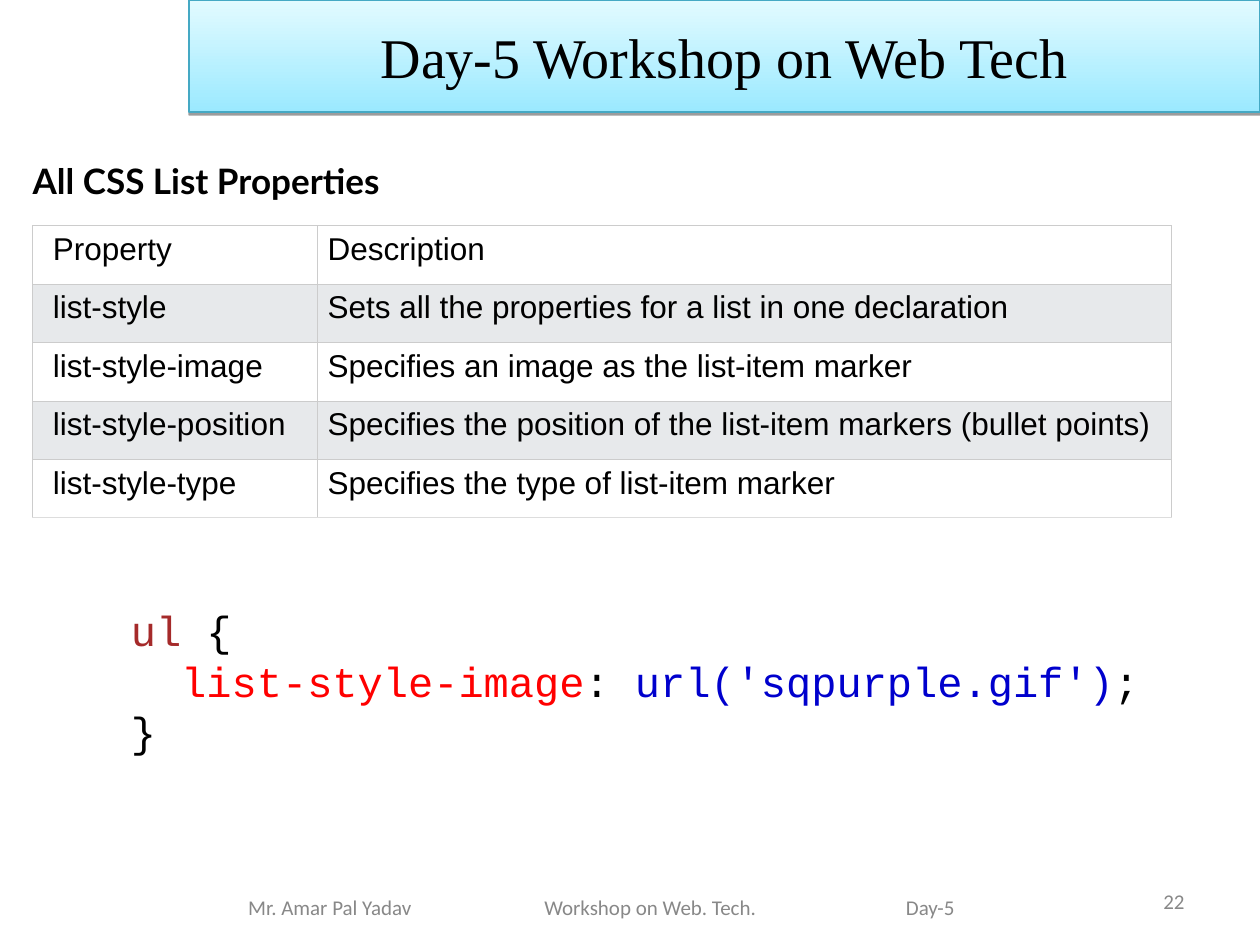
from pptx import Presentation
from pptx.dml.color import RGBColor
from pptx.enum.text import MSO_ANCHOR, MSO_AUTO_SIZE, PP_ALIGN
from pptx.oxml import parse_xml
from pptx.oxml.ns import nsdecls
from pptx.util import Inches, Pt

ROWS = [
    ("Property", "Description"),
    ("list-style", "Sets all the properties for a list in one declaration"),
    ("list-style-image", "Specifies an image as the list-item marker"),
    ("list-style-position",
     "Specifies the position of the list-item markers (bullet points)"),
    ("list-style-type", "Specifies the type of list-item marker"),
]
CODE = [
    [("ul ", "A52A2A"), ("{", "000000")],
    [("  list-style-image", "FF0000"), (":", "000000"),
     (" url('sqpurple.gif')", "0000CD"), (";", "000000")],
    [("}", "000000")],
]


def paint(color):
    """Turn a hex string into a colour."""
    return RGBColor.from_string(color)


def style(run, face, size, color, bold=False):
    """Set the font of one run."""
    font = run.font
    font.name, font.size, font.bold = face, Pt(size), bold
    font.color.rgb = paint(color)


def add_box(slide, box, anchor=MSO_ANCHOR.MIDDLE):
    """Add a wrapping text box."""
    shape = slide.shapes.add_textbox(*map(Inches, box))
    frame = shape.text_frame
    frame.word_wrap = True
    frame.vertical_anchor = anchor
    return shape


def add_title(slide, box, text):
    """Format the title as a gradient banner with a hard shadow."""
    title = slide.shapes.title
    title.left, title.top, title.width, title.height = map(Inches, box)
    frame = title.text_frame
    frame.text = text
    frame.auto_size = MSO_AUTO_SIZE.NONE
    frame.vertical_anchor = MSO_ANCHOR.MIDDLE
    frame.paragraphs[0].alignment = PP_ALIGN.CENTER
    style(frame.paragraphs[0].runs[0], "Times New Roman", 32, "000000")
    title.fill.gradient()
    title.fill.gradient_angle = 90
    for stop, color in zip(title.fill.gradient_stops, ("9BE9FF", "E2FBFF")):
        stop.color.rgb = paint(color)
        stop.position = 0 if color == "9BE9FF" else 1
    title.line.color.rgb = paint("45A9C4")
    title.line.width = Pt(0.75)
    title.element.spPr.append(parse_xml(
        f'<a:effectLst {nsdecls("a")}><a:outerShdw blurRad="0" '
        f'dist="{Pt(1.6)}" dir="5400000" rotWithShape="0">'
        '<a:srgbClr val="000000"><a:alpha val="38000"/></a:srgbClr>'
        '</a:outerShdw></a:effectLst>'))


def add_heading(slide, box, text):
    """Add the bold heading above the table."""
    shape = add_box(slide, box)
    shape.fill.solid()
    shape.fill.fore_color.rgb = paint("FFFFFF")
    frame = shape.text_frame
    frame.margin_left = frame.margin_right = 0
    frame.margin_top = frame.margin_bottom = Inches(0.1)
    frame.text = text
    style(frame.paragraphs[0].runs[0], "Lato", 20, "000000", True)


def add_edges(cell, last):
    """Draw thin grey borders, with a lighter one under the last row."""
    for spot, side in enumerate(("lnL", "lnR", "lnT", "lnB")):
        color = "DDDDDD" if last and side == "lnB" else "CCCCCC"
        cell._tc.get_or_add_tcPr().insert(spot, parse_xml(
            f'<a:{side} {nsdecls("a")} w="{Pt(0.34)}"><a:solidFill>'
            f'<a:srgbClr val="{color}"/></a:solidFill></a:{side}>'))


def add_grid(slide, box, rows, widths):
    """Add the property table with alternating row fills."""
    shape = slide.shapes.add_table(len(rows), len(widths), *map(Inches, box))
    table = shape.table
    table.first_row = table.horz_banding = False
    for column, width in zip(table.columns, widths):
        column.width = Inches(width)
    for i, row in enumerate(rows):
        for j, text in enumerate(row):
            cell = table.cell(i, j)
            cell.text = text
            cell.margin_left = Inches(0.08 if j else 0.16)
            cell.margin_right = Inches(0.08)
            cell.margin_top = cell.margin_bottom = Inches(0.05)
            cell.fill.solid()
            cell.fill.fore_color.rgb = paint("E7E9EB" if i % 2 else "FFFFFF")
            style(cell.text_frame.paragraphs[0].runs[0], "Arial", 18, "000000")
            add_edges(cell, i == len(rows) - 1)


def add_code(slide, box, lines):
    """Add the coloured code sample, one paragraph a line."""
    frame = add_box(slide, box, MSO_ANCHOR.TOP).text_frame
    for i, line in enumerate(lines):
        para = frame.add_paragraph() if i else frame.paragraphs[0]
        for text, color in line:
            run = para.add_run()
            run.text = text
            style(run, "Courier New", 24, color)


def add_footer(slide, box, parts, stops):
    """Add the footer, its parts set apart by tab stops."""
    frame = add_box(slide, box).text_frame
    frame.margin_left = Inches(0.57)
    para = frame.paragraphs[0]
    tabs = "".join(f'<a:tab pos="{Inches(x)}" algn="l"/>' for x in stops)
    para._p.get_or_add_pPr().append(parse_xml(
        f'<a:tabLst {nsdecls("a")}>{tabs}</a:tabLst>'))
    run = para.add_run()
    run.text = "\t".join(parts)
    style(run, "Calibri", 12, "888888")


def add_number(slide, box, text):
    """Add the page number at the right."""
    frame = add_box(slide, box).text_frame
    frame.text = text
    frame.paragraphs[0].alignment = PP_ALIGN.RIGHT
    style(frame.paragraphs[0].runs[0], "Calibri", 12, "888888")


def main():
    """Build and save the slide."""
    deck = Presentation()
    deck.slide_width, deck.slide_height = Inches(10), Inches(7.5)
    slide = deck.slides.add_slide(deck.slide_layouts[5])
    add_title(slide, (1.5, 0, 8.5, 0.89), "Day-5 Workshop on Web Tech")
    add_heading(slide, (0.26, 1.17, 3.8, 0.53), "All CSS List Properties")
    add_grid(slide, (0.26, 1.79, 9.04, 2.32), ROWS, (2.26, 6.78))
    add_code(slide, (0.94, 4.75, 8.36, 1.3), CODE)
    add_footer(slide, (1.4, 7, 6.77, 0.4),
               ("Mr. Amar Pal Yadav", "Workshop on Web. Tech.", "Day-5"),
               (2.35, 5.22))
    add_number(slide, (7.17, 6.95, 2.33, 0.4), "22")
    deck.save("out.pptx")


if __name__ == "__main__":
    main()
